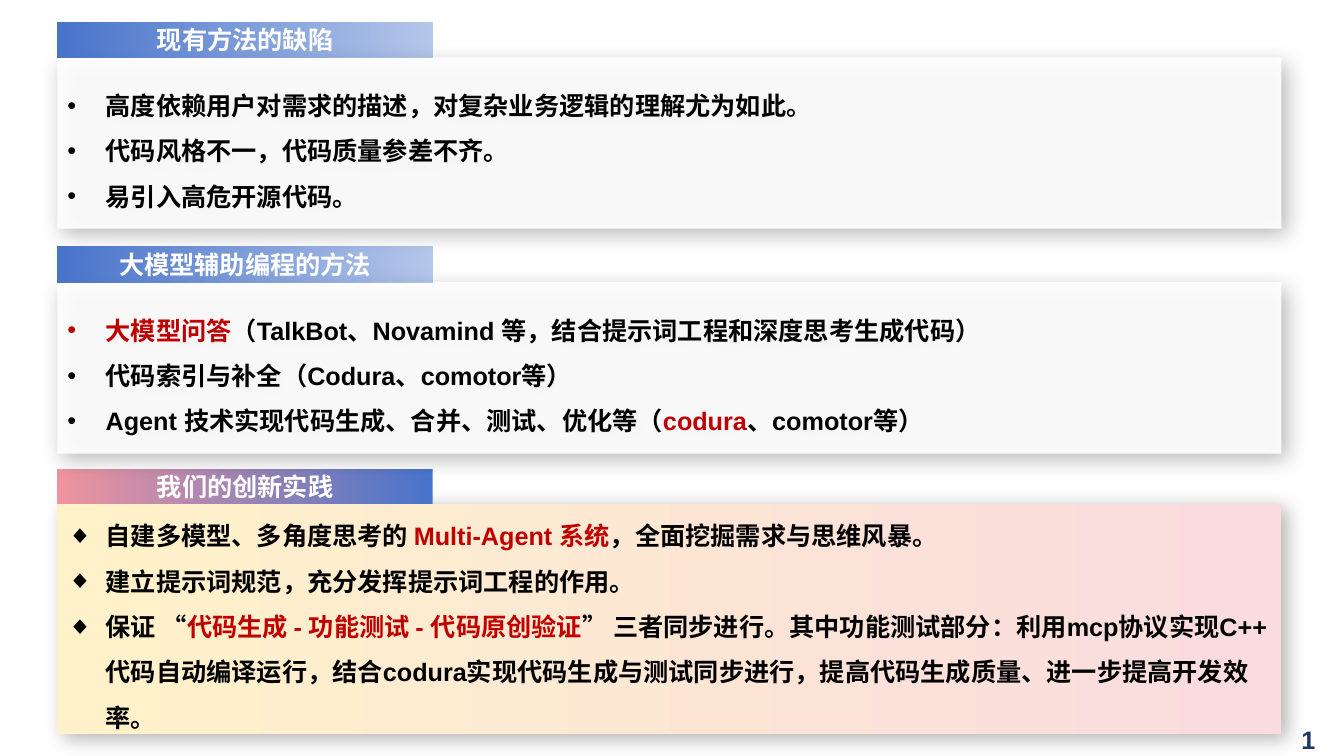
from dataclasses import dataclass

import pptx
import pptx.dml.color
import pptx.enum.shapes
import pptx.enum.text
import pptx.oxml
import pptx.oxml.ns
import pptx.util
from pptx.util import Inches


@dataclass(frozen=True)
class Theme:
    font: str = "Arial"
    size: int = 18
    ink: str = "000000"
    red: str = "C00000"
    white: str = "FFFFFF"
    blue: str = "4874CB"
    pink: str = "EF949E"
    rose: str = "FADBDF"
    cream: str = "FFF2CA"
    navy: str = "1E386B"


THEME = Theme()
LEFT = 0.57
WIDTH = 12.14
TAB_W = 3.72
TAB_H = 0.35
MARK = "*"

FLAWS = [
    "高度依赖用户对需求的描述，对复杂业务逻辑的理解尤为如此。",
    "代码风格不一，代码质量参差不齐。",
    "易引入高危开源代码。",
]
METHODS = [
    "*大模型问答*（TalkBot、Novamind 等，结合提示词工程和深度思考生成代码）",
    "代码索引与补全（Codura、comotor等）",
    "Agent 技术实现代码生成、合并、测试、优化等（*codura*、comotor等）",
]
WORK = [
    "自建多模型、多角度思考的 *Multi-Agent 系统*，全面挖掘需求与思维风暴。",
    "建立提示词规范，充分发挥提示词工程的作用。",
    "保证 “*代码生成 - 功能测试 - 代码原创验证*” 三者同步进行。其中功能测试部分："
    "利用mcp协议实现C++ 代码自动编译运行，结合codura实现代码生成与测试同步进行，"
    "提高代码生成质量、进一步提高开发效率。",
]


def rgb(code):
    return pptx.dml.color.RGBColor.from_string(code)


def add_xml(host, tag, **attrs):
    return pptx.oxml.ns.qn(tag), host.makeelement(pptx.oxml.ns.qn(tag), attrs)[:]


def add_node(host, tag, **attrs):
    node = host.makeelement(pptx.oxml.ns.qn(tag), attrs)
    host.append(node)
    return node


def set_alpha(host, share):
    for color in host.iter(pptx.oxml.ns.qn("a:srgbClr")):
        add_node(color, "a:alpha", val=str(share * 1000))


def style(run, color):
    font = run.font
    font.name = THEME.font
    font.size = pptx.util.Pt(THEME.size)
    font.bold = True
    font.color.rgb = rgb(color)


def add_box(shapes, top, width, height):
    kind = pptx.enum.shapes.MSO_SHAPE.RECTANGLE
    box = shapes.add_shape(kind, Inches(LEFT), Inches(top), Inches(width), Inches(height))
    box.shadow.inherit = False
    box.line.fill.background()
    box.text_frame.word_wrap = True
    box.text_frame.vertical_anchor = pptx.enum.text.MSO_ANCHOR.MIDDLE
    return box


def fill_fade(box, right, left):
    box.fill.gradient()
    box.fill.gradient_angle = 180
    for stop, color in zip(box.fill.gradient_stops, (right, left)):
        stop.color.rgb = rgb(color)


def add_shadow(box):
    effects = box._element.spPr.find(pptx.oxml.ns.qn("a:effectLst"))
    shade = add_node(
        effects, "a:outerShdw",
        blurRad=str(pptx.util.Pt(15)), dist=str(pptx.util.Pt(5)),
        dir=str(45 * 60000), algn="tl", rotWithShape="0",
    )
    add_node(shade, "a:srgbClr", val=THEME.ink)
    set_alpha(shade, 30)


def add_tab(shapes, top, title, left):
    tab = add_box(shapes, top, TAB_W, TAB_H)
    fill_fade(tab, THEME.blue, left)
    para = tab.text_frame.paragraphs[0]
    para.text = title
    para.alignment = pptx.enum.text.PP_ALIGN.CENTER
    style(para.runs[0], THEME.white)
    return tab


def add_point(para, text, bullet):
    para.alignment = pptx.enum.text.PP_ALIGN.LEFT
    para.line_spacing = 1.5
    props = para._p.get_or_add_pPr()
    props.set("marL", str(Inches(0.38)))
    props.set("indent", str(Inches(-0.38)))
    add_node(props, "a:buFont", typeface=THEME.font)
    add_node(props, "a:buChar", char=bullet)
    for spot, part in enumerate(text.split(MARK)):
        if part:
            run = para.add_run()
            run.text = part
            style(run, THEME.red if spot % 2 else THEME.ink)


def add_panel(shapes, top, height, points, bullet):
    panel = add_box(shapes, top, WIDTH, height)
    add_shadow(panel)
    frame = panel.text_frame
    for spot, text in enumerate(points):
        para = frame.add_paragraph() if spot else frame.paragraphs[0]
        add_point(para, text, bullet)
    return panel


def add_plain(slide, top, title, points):
    shapes = slide.shapes.add_group_shape().shapes
    panel = add_panel(shapes, top + TAB_H, 1.7, points, "•")
    panel.fill.solid()
    panel.fill.fore_color.rgb = rgb(THEME.white)
    set_alpha(panel.fill._xPr.find(pptx.oxml.ns.qn("a:solidFill")), 90)
    tab = add_tab(shapes, top, title, THEME.blue)
    stop = next(tab._element.spPr.iter(pptx.oxml.ns.qn("a:gs")))
    set_alpha(stop, 40)


def add_focus(slide, top, title, points):
    panel = add_panel(slide.shapes, top + TAB_H, 2.28, points, "◆")
    fill_fade(panel, THEME.rose, THEME.cream)
    add_tab(slide.shapes, top, title, THEME.pink)


def add_page(slide, number):
    box = slide.shapes.add_textbox(Inches(12.81), Inches(7.14), Inches(0.52), Inches(0.4))
    box.text_frame.word_wrap = True
    box.text_frame.text = number
    style(box.text_frame.paragraphs[0].runs[0], THEME.navy)


def main():
    deck = pptx.Presentation()
    deck.slide_width = Inches(13.33)
    deck.slide_height = Inches(7.5)
    slide = deck.slides.add_slide(deck.slide_layouts[6])
    add_focus(slide, 4.65, "我们的创新实践", WORK)
    add_plain(slide, 0.22, "现有方法的缺陷", FLAWS)
    add_plain(slide, 2.45, "大模型辅助编程的方法", METHODS)
    add_page(slide, "1")
    deck.save("out.pptx")


if __name__ == "__main__":
    main()
